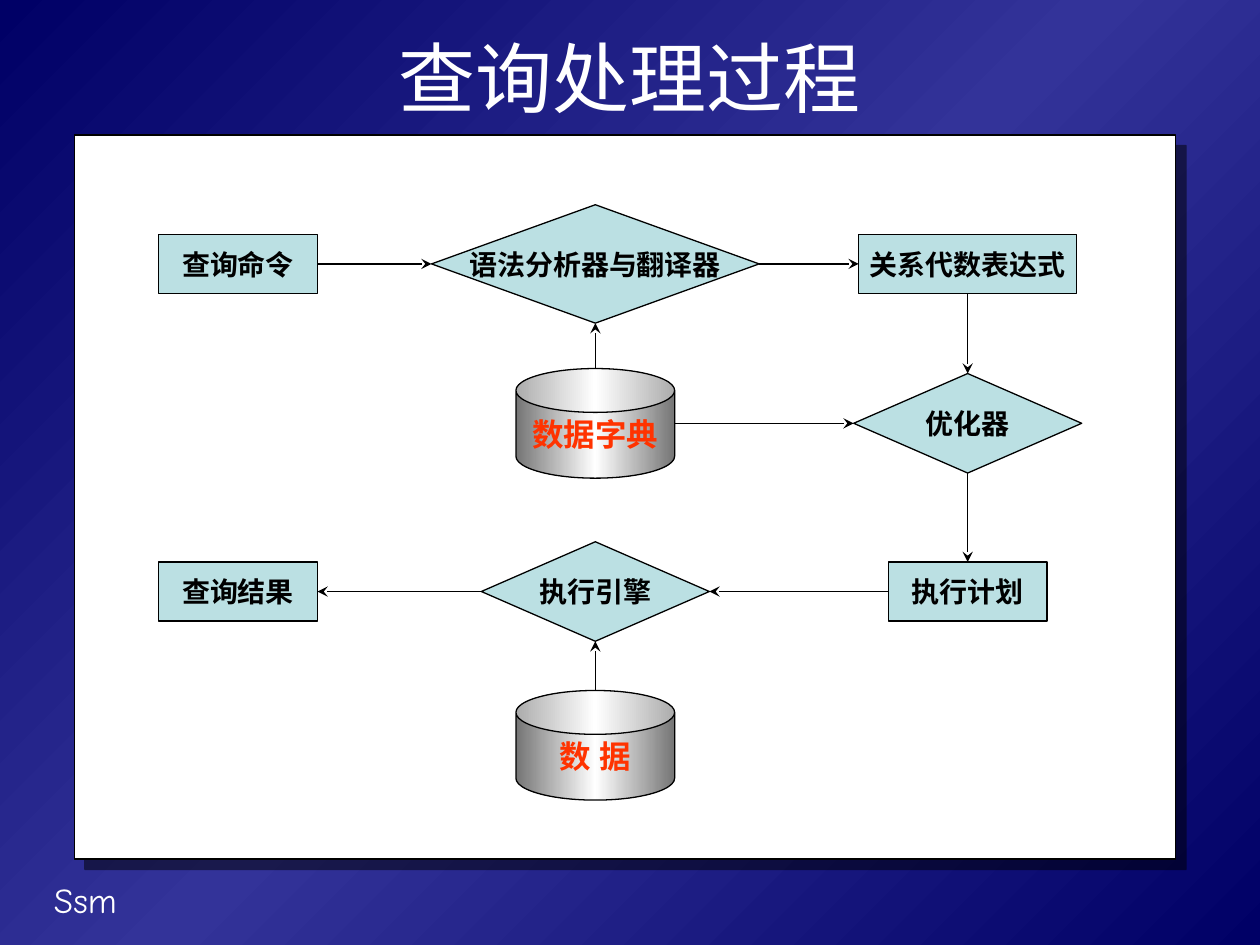
import copy
import pptx
import pptx.util
import pptx.dml.color
import pptx.enum.shapes
import pptx.enum.text
import pptx.oxml
import pptx.oxml.ns

SHAPES = pptx.enum.shapes.MSO_SHAPE
ALIGN = pptx.enum.text.PP_ALIGN
ANCHOR = pptx.enum.text.MSO_ANCHOR
WIDTH, HEIGHT = pptx.util.Inches(10), pptx.util.Inches(7.5)
LINE_WIDTH = pptx.util.Pt(0.74)

COLORS = {
    "navy": "000066", "indigo": "333399", "white": "FFFFFF", "black": "000000",
    "step": "BBE0E3", "metal": "757575", "store_text": "FF3300",
}

# Centres of the flow's columns and rows, in percent of the slide
COLUMNS = {"left": 18.9, "middle": 47.25, "right": 76.8}
ROWS = {"parse": 27.93, "optimize": 44.8, "execute": 62.6, "store": 78.87}

# Preset and size of each kind of node, in percent of the slide
KINDS = {
    "box": (SHAPES.RECTANGLE, 12.6, 6.27),
    "wide_box": (SHAPES.RECTANGLE, 17.3, 6.27),
    "process": (SHAPES.FLOWCHART_DECISION, 18.1, 10.53),
    "wide_process": (SHAPES.FLOWCHART_DECISION, 26, 12.53),
    "store": (SHAPES.CAN, 12.6, 11.6),
}

NODES = {
    "command": ("查询命令", "box", "left", "parse"),
    "parser": ("语法分析器与翻译器", "wide_process", "middle", "parse"),
    "algebra": ("关系代数表达式", "wide_box", "right", "parse"),
    "dictionary": ("数据字典", "store", "middle", "optimize"),
    "optimizer": ("优化器", "process", "right", "optimize"),
    "result": ("查询结果", "box", "left", "execute"),
    "engine": ("执行引擎", "process", "middle", "execute"),
    "plan": ("执行计划", "box", "right", "execute"),
    "data": ("数 据", "store", "middle", "store"),
}

FLOWS = [
    ("command", "parser"), ("parser", "algebra"), ("algebra", "optimizer"),
    ("optimizer", "plan"), ("plan", "engine"), ("engine", "result"),
    ("dictionary", "parser"), ("dictionary", "optimizer"), ("data", "engine"),
]


def rgb(name):
    """Return the named colour."""
    return pptx.dml.color.RGBColor.from_string(COLORS[name])


def area(left, top, width, height):
    """Turn percent of the slide into a position and size."""
    return (int(WIDTH * left / 100), int(HEIGHT * top / 100),
            int(WIDTH * width / 100), int(HEIGHT * height / 100))


def drawing_xml(tag, content="", attributes=""):
    """Build an element of the drawing namespace."""
    namespace = pptx.oxml.ns.nsdecls("a")
    return pptx.oxml.parse_xml(f"<a:{tag} {namespace} {attributes}>{content}</a:{tag}>")


def write(holder, text, size=16, color="black", font="Arial", bold=False,
          align=ALIGN.CENTER, anchor=ANCHOR.MIDDLE, wrap=False, before=0):
    """Put one formatted paragraph into a shape."""
    frame = holder.text_frame
    frame.auto_size = pptx.enum.text.MSO_AUTO_SIZE.NONE
    frame.word_wrap = wrap
    frame.vertical_anchor = anchor
    paragraph = frame.paragraphs[0]
    paragraph.alignment = align
    paragraph.space_before = pptx.util.Pt(before)
    run = paragraph.add_run()
    run.text = text
    run.font.size = pptx.util.Pt(size)
    run.font.bold = bold
    run.font.name = font
    run.font.color.rgb = rgb(color)
    run.font._element.find(pptx.oxml.ns.qn("a:latin")).addnext(
        drawing_xml("ea", attributes=f'typeface="{font}"'))


def fill_gradient(fill, element, edge, middle, angle):
    """Fill with a gradient that runs from edge to middle and back."""
    fill.gradient()
    fill.gradient_angle = angle
    first_stop = element.xpath(".//a:gradFill/a:gsLst/a:gs")[0]
    first_stop.addnext(copy.deepcopy(first_stop))
    for stop, name, position in zip(fill.gradient_stops, (edge, middle, edge), (0, 0.5, 1)):
        stop.color.rgb = rgb(name)
        stop.position = position


def add_outlined(slide, preset, place, color):
    """Add a filled shape with a thin black outline and no shadow."""
    shape = slide.shapes.add_shape(preset, *place)
    shape.shadow.inherit = False
    shape.fill.solid()
    shape.fill.fore_color.rgb = rgb(color)
    shape.line.color.rgb = rgb("black")
    shape.line.width = LINE_WIDTH
    return shape


def add_panel(slide):
    """Add the white panel with its offset shadow."""
    panel = add_outlined(slide, SHAPES.RECTANGLE, area(5.9, 14.3, 87.4, 76.6), "white")
    distance = pptx.util.Pt(8.5)
    panel._element.spPr.find(pptx.oxml.ns.qn("a:effectLst")).append(drawing_xml(
        "outerShdw",
        f'<a:srgbClr val="{COLORS["black"]}"><a:alpha val="50000"/></a:srgbClr>',
        f'dist="{distance}" dir="2700000" algn="ctr" rotWithShape="0"'))


def add_node(slide, text, kind, column, row):
    """Add a step or a data store centred on a grid point."""
    preset, width, height = KINDS[kind]
    place = area(COLUMNS[column] - width / 2, ROWS[row] - height / 2, width, height)
    node = add_outlined(slide, preset, place, "step")
    if kind == "store":
        node.adjustments[0] = 0.4
        fill_gradient(node.fill, node._element, "metal", "white", 0)
        write(node, text, size=18, color="store_text", bold=True)
    else:
        write(node, text, bold=True)
    return node


def edge_towards(node, other):
    """Return the middle of the node's side that faces the other node."""
    x, y = node.left + node.width // 2, node.top + node.height // 2
    across = other.left + other.width // 2 - x
    down = other.top + other.height // 2 - y
    if abs(across) > abs(down):
        return x + (node.width // 2 if across > 0 else -node.width // 2), y
    return x, y + (node.height // 2 if down > 0 else -node.height // 2)


def add_flow(slide, source, target):
    """Join two nodes with an arrow."""
    flow = slide.shapes.add_connector(
        pptx.enum.shapes.MSO_CONNECTOR.STRAIGHT,
        *edge_towards(source, target), *edge_towards(target, source))
    flow.line.color.rgb = rgb("black")
    flow.line.width = LINE_WIDTH
    flow.line._get_or_add_ln().append(drawing_xml("tailEnd", attributes='type="stealth"'))
    flow._element.spPr.append(drawing_xml("effectLst"))


def main():
    """Build the query processing slide."""
    deck = pptx.Presentation()
    deck.slide_width, deck.slide_height = WIDTH, HEIGHT
    slide = deck.slides.add_slide(deck.slide_layouts[5])
    fill_gradient(slide.background.fill, slide._element, "navy", "indigo", 315)

    title = slide.shapes.title
    title.left, title.top, title.width, title.height = area(5, 2.27, 90, 11.6)
    write(title, "查询处理过程", size=44, color="white", wrap=True)
    signature = slide.shapes.add_textbox(*area(3.3, 92.27, 20.8, 5.87))
    write(signature, "Ssm", size=20, color="white", font="Comic Neue",
          align=ALIGN.LEFT, anchor=ANCHOR.TOP, wrap=True, before=12.5)

    add_panel(slide)
    nodes = {name: add_node(slide, *node) for name, node in NODES.items()}
    for source, target in FLOWS:
        add_flow(slide, nodes[source], nodes[target])
    deck.save("out.pptx")


main()
